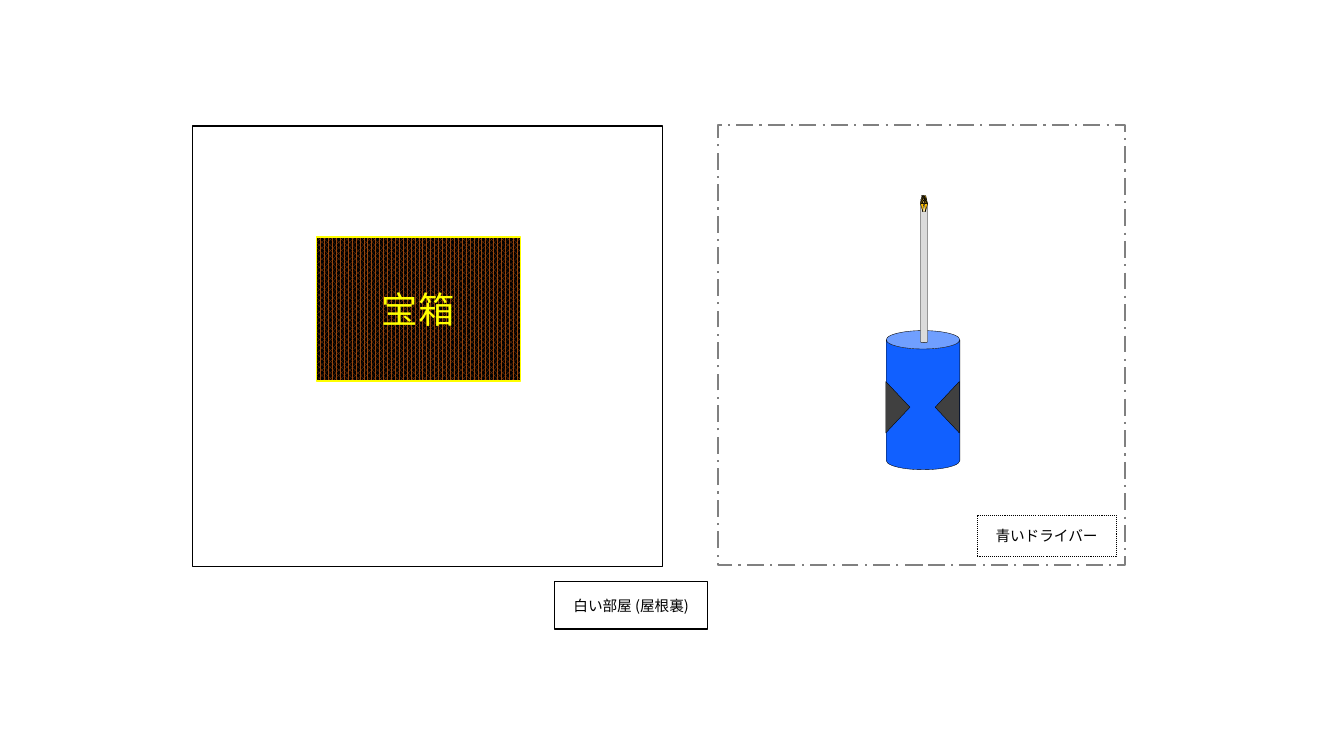
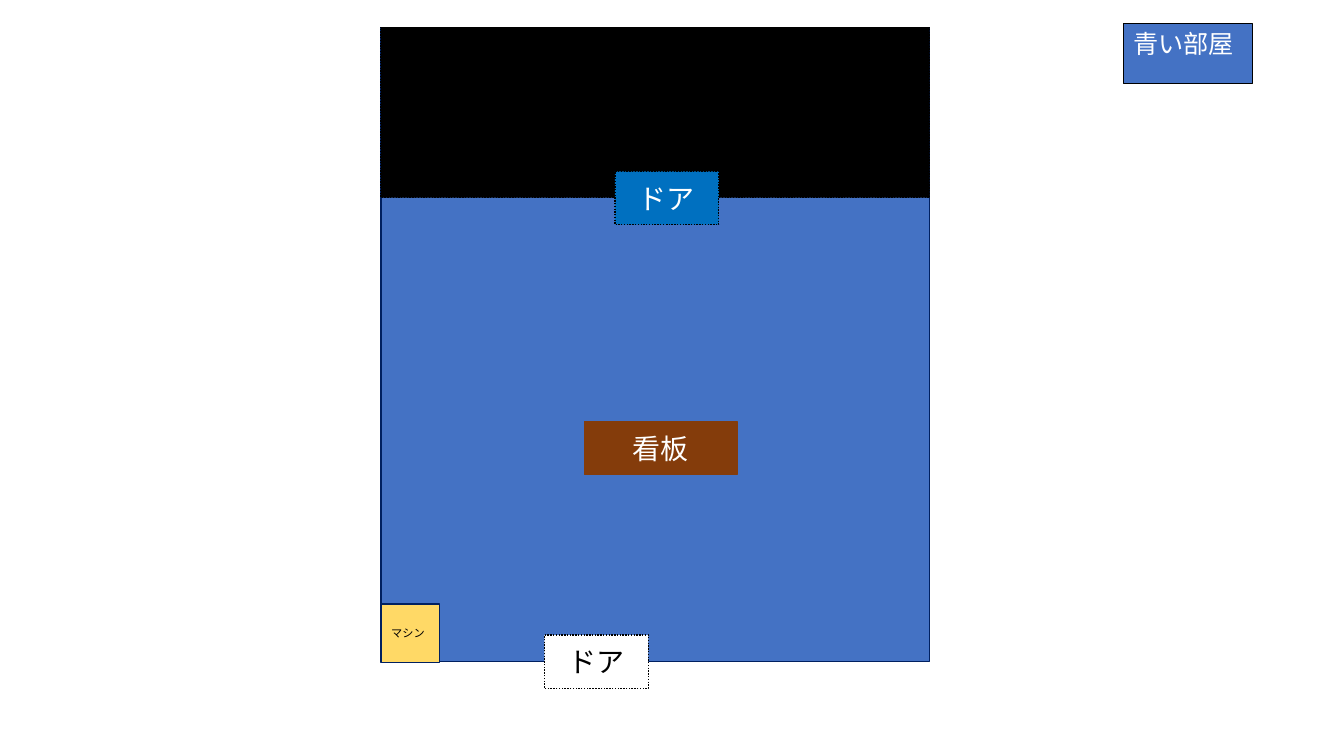
"""Build two room diagrams: an attic with a screwdriver, and a blue room."""
from dataclasses import dataclass
from typing import Any, Optional

import lxml.etree
import pptx
import pptx.dml.color
import pptx.enum.dml
import pptx.enum.shapes
import pptx.enum.text
import pptx.oxml.ns
import pptx.util

Inches = pptx.util.Inches
Kind = pptx.enum.shapes.MSO_SHAPE
Dash = pptx.enum.dml.MSO_LINE
Align = pptx.enum.text.PP_ALIGN
Anchor = pptx.enum.text.MSO_ANCHOR


@dataclass(frozen=True)
class Theme:
    font: str = "Noto Sans CJK JP"
    black: str = "000000"
    white: str = "FFFFFF"
    gray: str = "808080"
    yellow: str = "FFFF00"
    chest: str = "95440D"
    handle: str = "1160FF"
    grip: str = "404040"
    shaft: str = "DBDBDB"
    bronze: str = "BF9000"
    gold: str = "FFD966"
    pale_gold: str = "FFE699"
    amber: str = "FFC000"
    room: str = "4472C4"
    navy: str = "002060"
    door: str = "0070C0"
    sign: str = "843C0B"
    tiny: float = 8
    caption: float = 10.5
    label: float = 18
    object_name: float = 20
    chest_name: float = 26
    hairline: float = 0.25
    groove: float = 0.5
    thin: float = 0.75
    normal: float = 1
    frame: float = 1.5


THEME = Theme()


@dataclass(frozen=True)
class Box:
    left: float
    top: float
    width: float
    height: float
    fill: str = THEME.white
    line: str = THEME.black
    weight: float = THEME.normal
    dash: Optional[Any] = None
    text: str = ""
    size: float = THEME.caption
    color: str = THEME.black
    align: Any = Align.CENTER
    anchor: Any = Anchor.MIDDLE
    kind: Any = Kind.RECTANGLE
    rotation: float = 0
    adjustment: Optional[float] = None
    pattern: Optional[Any] = None


@dataclass(frozen=True)
class Groove:
    start_x: float
    start_y: float
    end_x: float
    end_y: float


def rgb(value: str) -> pptx.dml.color.RGBColor:
    return pptx.dml.color.RGBColor.from_string(value)


def add_text(shape: Any, box: Box) -> None:
    frame = shape.text_frame
    frame.word_wrap = True
    frame.vertical_anchor = box.anchor
    paragraph = frame.paragraphs[0]
    paragraph.alignment = box.align
    run = paragraph.add_run()
    run.text = box.text
    run.font.size = pptx.util.Pt(box.size)
    run.font.color.rgb = rgb(box.color)
    run.font.name = THEME.font
    properties = run.font._element
    east_asian = lxml.etree.SubElement(properties, pptx.oxml.ns.qn("a:ea"))
    east_asian.set("typeface", THEME.font)


def add_box(shapes: Any, box: Box) -> None:
    shape = shapes.add_shape(box.kind, Inches(box.left), Inches(box.top),
                             Inches(box.width), Inches(box.height))
    shape.shadow.inherit = False
    shape.rotation = box.rotation
    if box.adjustment is not None:
        shape.adjustments[0] = box.adjustment
    if box.pattern is None:
        shape.fill.solid()
    else:
        shape.fill.patterned()
        shape.fill.pattern = box.pattern
        shape.fill.back_color.rgb = rgb(THEME.black)
    shape.fill.fore_color.rgb = rgb(box.fill)
    shape.line.color.rgb = rgb(box.line)
    shape.line.width = pptx.util.Pt(box.weight)
    if box.dash is not None:
        shape.line.dash_style = box.dash
    if box.text:
        add_text(shape, box)


def add_groove(shapes: Any, groove: Groove) -> None:
    connector = shapes.add_connector(
        pptx.enum.shapes.MSO_CONNECTOR.STRAIGHT,
        Inches(groove.start_x), Inches(groove.start_y),
        Inches(groove.end_x), Inches(groove.end_y))
    connector.line.color.rgb = rgb(THEME.black)
    connector.line.width = pptx.util.Pt(THEME.groove)
    lxml.etree.SubElement(connector._element.spPr, pptx.oxml.ns.qn("a:effectLst"))


def add_boxes(shapes: Any, boxes: list[Box]) -> None:
    for box in boxes:
        add_box(shapes, box)


def add_screwdriver(shapes: Any) -> None:
    def part(kind: Any, left: float, top: float, width: float, height: float,
             fill: str, rotation: float = 0, adjustment: Optional[float] = None) -> Box:
        return Box(left, top, width, height, fill, weight=THEME.hairline,
                   kind=kind, rotation=rotation, adjustment=adjustment)

    triangle = Kind.ISOSCELES_TRIANGLE
    shaft_left, tip_top, tip_height = 9.13, 1.94, 0.08
    shaft_top = tip_top + tip_height
    grips = [part(triangle, left, 3.92, 0.51, 0.24, THEME.grip, rotation)
             for left, rotation in ((9.14, 270), (8.65, 90))]
    prongs = [part(triangle, left, shaft_top, 0.03, tip_height, THEME.amber, 180, apex)
              for left, apex in ((9.17, 0.72), (shaft_left, 0.28))]
    add_boxes(shapes, [
        part(Kind.CAN, 8.79, 3.28, 0.73, 1.38, THEME.handle),
        *grips,
        part(Kind.CAN, shaft_left, shaft_top, 0.07, 1.38, THEME.shaft),
        part(Kind.TRAPEZOID, shaft_left, tip_top, 0.07, tip_height, THEME.bronze),
        part(Kind.TRAPEZOID, 9.15, tip_top, 0.02, tip_height, THEME.gold),
        part(Kind.TRAPEZOID, 9.15, shaft_top, 0.03, tip_height, THEME.pale_gold),
        *prongs,
    ])
    for groove in (
        Groove(9.15, tip_top, 9.19, 2),
        Groove(9.14, tip_top, 9.2, shaft_top),
        Groove(9.14, 1.96, 9.18, shaft_top),
        Groove(9.13, 1.98, 9.16, shaft_top),
        Groove(9.13, 2, 9.14, shaft_top),
        Groove(9.16, tip_top, 9.19, 1.98),
    ):
        add_groove(shapes, groove)


def build_attic(slide: Any) -> None:
    add_boxes(slide.shapes, [
        Box(1.91, 1.25, 4.66, 4.37),
        Box(5.5, 5.77, 1.52, 0.47, text="白い部屋 (屋根裏)"),
        Box(3.14, 2.35, 2.02, 1.43, THEME.chest, THEME.yellow, text="宝箱",
            size=THEME.chest_name, color=THEME.yellow,
            pattern=pptx.enum.dml.MSO_PATTERN.PERCENT_75),
        Box(7.12, 1.24, 4.04, 4.37, line=THEME.gray, weight=THEME.frame,
            dash=Dash.LONG_DASH_DOT),
    ])
    add_screwdriver(slide.shapes.add_group_shape().shapes)
    add_box(slide.shapes, Box(9.69, 5.11, 1.38, 0.41, weight=THEME.thin,
                              dash=Dash.ROUND_DOT, text="青いドライバー"))


def build_blue_room(slide: Any) -> None:
    def door(left: float, top: float, fill: str, color: str) -> Box:
        return Box(left, top, 1.03, 0.53, fill, dash=Dash.ROUND_DOT, text="ドア",
                   size=THEME.object_name, color=color)

    room_left, room_top, room_width = 3.78, 0.27, 5.44
    add_boxes(slide.shapes, [
        Box(room_left, room_top, room_width, 6.29, THEME.room, THEME.navy),
        Box(11.14, 0.23, 1.28, 0.6, THEME.room, weight=THEME.thin, text="青い部屋",
            size=THEME.label, color=THEME.white, align=Align.JUSTIFY, anchor=Anchor.TOP),
        door(5.4, 6.3, THEME.white, THEME.black),
        Box(room_left, room_top, room_width, 1.69, THEME.black, dash=Dash.ROUND_DOT),
        Box(5.8, 4.18, 1.51, 0.53, THEME.sign, THEME.sign, text="看板",
            size=THEME.object_name, color=THEME.white),
        door(6.1, 1.7, THEME.door, THEME.white),
        Box(room_left, 5.99, 0.58, 0.58, THEME.gold, THEME.navy, text="マシン",
            size=THEME.tiny, align=Align.JUSTIFY),
    ])


def main() -> None:
    presentation = pptx.Presentation()
    presentation.slide_width = Inches(13.33)
    presentation.slide_height = Inches(7.5)
    for build in (build_attic, build_blue_room):
        build(presentation.slides.add_slide(presentation.slide_layouts[6]))
    presentation.save("out.pptx")


if __name__ == "__main__":
    main()
